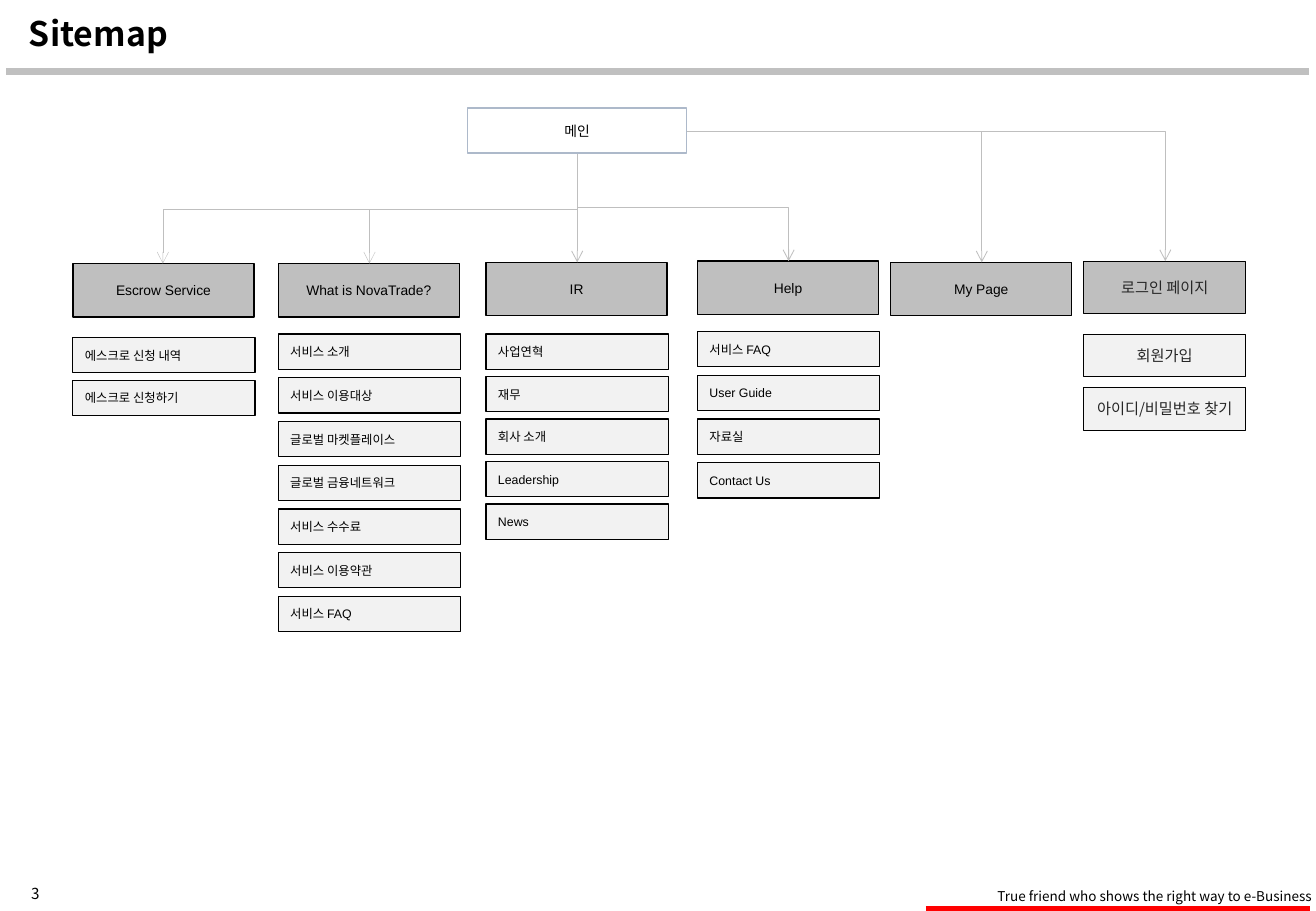
from pptx import Presentation
from pptx.dml.color import RGBColor
from pptx.enum import shapes, text
from pptx.oxml import ns, xmlchemy
from pptx.util import Inches, Pt

BLACK = RGBColor(0x00, 0x00, 0x00)
CHARCOAL = RGBColor(0x26, 0x26, 0x26)
GRAY = RGBColor(0xBF, 0xBF, 0xBF)
RULE_GRAY = RGBColor(0xC0, 0xC0, 0xC0)
PALE = RGBColor(0xF2, 0xF2, 0xF2)
BLUE_GRAY = RGBColor(0xAD, 0xB9, 0xCA)
RED = RGBColor(0xFF, 0x00, 0x00)
LATIN = "Arial"
KOREAN = "Noto Sans CJK KR"
CENTER = text.PP_ALIGN.CENTER
LEFT = text.PP_ALIGN.LEFT
MIDDLE = text.MSO_ANCHOR.MIDDLE
TOP = text.MSO_ANCHOR.TOP

SECTIONS = [
    dict(title="Escrow Service", left=0.6, top=2.17, first=2.78, step=0.35,
         pages=["에스크로 신청 내역", "에스크로 신청하기"]),
    dict(title="What is NovaTrade?", left=2.29, top=2.17, first=2.75, step=0.36,
         pages=["서비스 소개", "서비스 이용대상", "글로벌 마켓플레이스", "글로벌 금융네트워크",
                "서비스 수수료", "서비스 이용약관", "서비스 FAQ"]),
    dict(title="IR", left=4.0, top=2.16, first=2.75, step=0.35,
         pages=["사업연혁", "재무", "회사 소개", "Leadership", "News"]),
    dict(title="Help", left=5.74, top=2.15, first=2.73, step=0.36,
         pages=["서비스 FAQ", "User Guide", "자료실", "Contact Us"]),
    dict(title="My Page", left=7.33, top=2.16, first=0, step=0, pages=[]),
]
LOGIN_BOXES = [
    ("로그인 페이지", 2.15, 0.43, GRAY),
    ("회원가입", 2.75, 0.35, PALE),
    ("아이디/비밀번호 찾기", 3.19, 0.35, PALE),
]


def write(shape, words, *, size, font=LATIN, color=BLACK, bold=False,
          align=LEFT, anchor=MIDDLE, side=0.1, spacing=None):
    frame = shape.text_frame
    frame.word_wrap = True
    frame.vertical_anchor = anchor
    frame.margin_left = frame.margin_right = Inches(side)
    paragraph = frame.paragraphs[0]
    paragraph.alignment = align
    paragraph.line_spacing = spacing
    run = paragraph.add_run()
    run.text = words
    run.font.size = Pt(size)
    run.font.bold = bold
    run.font.color.rgb = color
    run.font.name = font
    east_asian = xmlchemy.OxmlElement("a:ea")
    east_asian.set("typeface", KOREAN)
    run.font._element.append(east_asian)


class Sitemap:
    def __init__(self, slide):
        self.slide = slide

    def label(self, words, left, top, width, height, **style):
        shape = self.slide.shapes.add_textbox(
            Inches(left), Inches(top), Inches(width), Inches(height))
        write(shape, words, font=KOREAN, **style)

    def box(self, words, left, top, width, height, *, fill=None,
            border=BLACK, weight=0.75, **style):
        shape = self.slide.shapes.add_shape(
            shapes.MSO_SHAPE.RECTANGLE,
            Inches(left), Inches(top), Inches(width), Inches(height))
        shape.shadow.inherit = False
        if fill is None:
            shape.fill.background()
        else:
            shape.fill.solid()
            shape.fill.fore_color.rgb = fill
        shape.line.color.rgb = border
        shape.line.width = Pt(weight)
        write(shape, words, **style)

    def line(self, start, end, *, color=GRAY, weight=0.5, arrow=False,
             kind=shapes.MSO_CONNECTOR.STRAIGHT):
        connector = self.slide.shapes.add_connector(
            kind, *(Inches(value) for value in (*start, *end)))
        connector.line.color.rgb = color
        connector.line.width = Pt(weight)
        if arrow:
            tail = xmlchemy.OxmlElement("a:tailEnd")
            tail.set("type", "arrow")
            connector.line._get_or_add_ln().append(tail)
        connector._element.spPr.append(xmlchemy.OxmlElement("a:effectLst"))
        return connector

    def branch_down(self, start, end, weight=0.5):
        across, down = abs(end[0] - start[0]), end[1] - start[1]
        left = (start[0] + end[0] - down) / 2
        top = (start[1] + end[1] - across) / 2
        connector = self.line((left, top), (left + down, top + across),
                              weight=weight, arrow=True,
                              kind=shapes.MSO_CONNECTOR.ELBOW)
        transform = connector._element.spPr.find(ns.qn("a:xfrm"))
        if end[0] < start[0]:
            transform.set("rot", "5400000")
        else:
            transform.set("rot", "16200000")
            transform.set("flipH", "1")

    def branch_right(self, start, end):
        connector = self.line(start, end, arrow=True,
                              kind=shapes.MSO_CONNECTOR.ELBOW)
        geometry = connector._element.spPr.find(ns.qn("a:prstGeom"))
        geometry.set("prst", "bentConnector2")

    def section(self, title, left, top, first, step, pages):
        self.box(title, left, top, 1.49, 0.44, fill=GRAY, size=8.2, align=CENTER)
        for index, page in enumerate(pages):
            self.box(page, left, first + index * step, 1.5, 0.29,
                     fill=PALE, size=7.3)


def main():
    presentation = Presentation()
    presentation.slide_width = Inches(10.83)
    presentation.slide_height = Inches(7.5)
    sitemap = Sitemap(presentation.slides.add_slide(presentation.slide_layouts[6]))

    sitemap.line((0.05, 0.59), (10.77, 0.59), color=RULE_GRAY, weight=4.5)
    sitemap.line((7.62, 7.48), (10.78, 7.48), color=RED, weight=3)
    sitemap.label("True friend who shows the right way to e-Business",
                  8.11, 7.26, 2.88, 0.24, size=8, anchor=TOP)
    sitemap.label("3", 0, 7.23, 0.58, 0.25, size=9, align=CENTER)
    sitemap.label("Sitemap", 0.14, 0.06, 10.56, 0.46, size=20, bold=True, spacing=0.9)

    sitemap.box("메인", 3.85, 0.89, 1.8, 0.37, border=BLUE_GRAY, size=8.2, align=CENTER)
    for section in SECTIONS:
        sitemap.section(**section)
    for words, top, height, fill in LOGIN_BOXES:
        sitemap.box(words, 8.92, top, 1.33, height, fill=fill, weight=0.5, size=9,
                    font=KOREAN, color=CHARCOAL, align=CENTER, side=0)

    main_bottom, main_right = (4.75, 1.27), (5.65, 1.08)
    sitemap.branch_down(main_bottom, (1.34, 2.17), weight=0.25)
    sitemap.branch_down(main_bottom, (3.04, 2.17), weight=0.25)
    sitemap.line(main_bottom, (4.75, 2.16), arrow=True)
    sitemap.branch_down(main_bottom, (6.49, 2.15))
    sitemap.branch_right(main_right, (8.08, 2.16))
    sitemap.branch_right(main_right, (9.59, 2.15))

    presentation.save("out.pptx")


if __name__ == "__main__":
    main()
